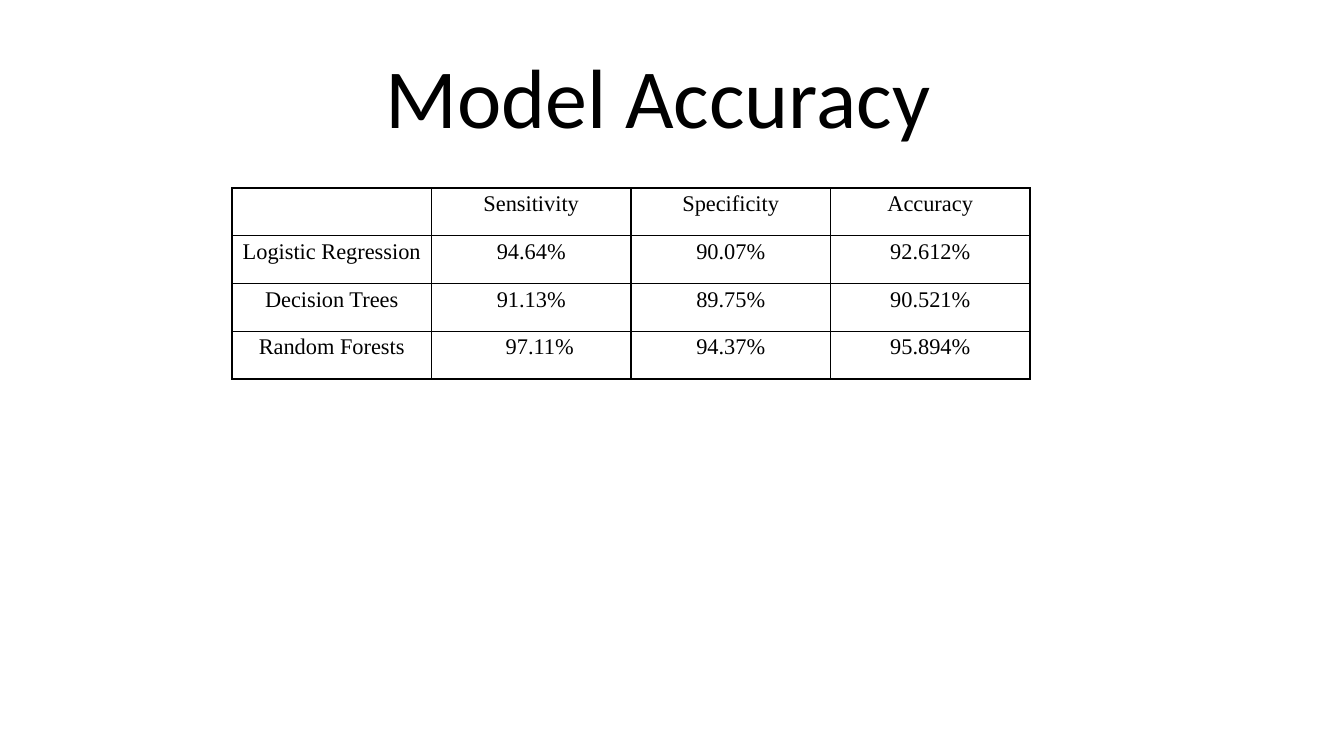
from lxml import etree
from pptx import Presentation
from pptx import util as u
from pptx.dml.color import RGBColor
from pptx.enum import text
from pptx.oxml import ns

SCALE = 914400 / 100.8
COLOURS = {"ink": "000000", "paper": "FFFFFF"}
SCORES = [
    ["", "Sensitivity", "Specificity", "Accuracy"],
    ["Logistic Regression", "94.64%", "90.07%", "92.612%"],
    ["Decision Trees", "91.13%", "89.75%", "90.521%"],
    ["Random Forests", "97.11%", "94.37%", "95.894%"],
]
INDENTED = "97.11%"


def px(length):
    return u.Emu(round(length * SCALE))


def write(frame, wording, size, font, spacing, indent=0):
    frame.word_wrap = True
    paragraph = frame.paragraphs[0]
    paragraph.alignment = text.PP_ALIGN.CENTER
    paragraph.line_spacing = spacing
    paragraph.font.size = u.Pt(size)
    if indent:
        paragraph._p.get_or_add_pPr().set("marL", str(px(indent)))
    if wording:
        run = paragraph.add_run()
        run.text = wording
        run.font.size = u.Pt(size)
        run.font.name = font
        run.font.color.rgb = RGBColor.from_string(COLOURS["ink"])


def rule_cell(cell, points):
    properties = cell._tc.get_or_add_tcPr()
    for side in ("a:lnL", "a:lnR", "a:lnT", "a:lnB"):
        border = etree.SubElement(properties, ns.qn(side), w=str(u.Pt(points)))
        fill = etree.SubElement(border, ns.qn("a:solidFill"))
        etree.SubElement(fill, ns.qn("a:srgbClr"), val=COLOURS["ink"])


def add_heading(slide, left, top, width, height):
    heading = slide.shapes.add_textbox(px(left), px(top), px(width), px(height))
    heading.text_frame.vertical_anchor = text.MSO_ANCHOR.BOTTOM
    write(heading.text_frame, "Model Accuracy", size=60, font="Calibri", spacing=0.9)


def add_scores(slide, left, top, width, height):
    scores = slide.shapes.add_table(
        len(SCORES), len(SCORES[0]), px(left), px(top), px(width), px(height)
    ).table
    scores.first_row = False
    scores.horz_banding = False
    for row, entries in enumerate(SCORES):
        for column, entry in enumerate(entries):
            cell = scores.cell(row, column)
            cell.margin_left = cell.margin_right = px(7)
            cell.margin_top = cell.margin_bottom = 0
            rule_cell(cell, points=1)
            cell.fill.background()
            write(cell.text_frame, entry, size=16, font="Times New Roman",
                  spacing=1.15, indent=17 if entry == INDENTED else 0)


deck = Presentation()
deck.slide_width, deck.slide_height = px(1344), px(756)
accuracy_slide = deck.slides.add_slide(deck.slide_layouts[6])
backdrop = accuracy_slide.background.fill
backdrop.solid()
backdrop.fore_color.rgb = RGBColor.from_string(COLOURS["paper"])
add_heading(accuracy_slide, 154, 15, 1008, 137)
add_scores(accuracy_slide, 232, 188, 798, 191)
deck.save("out.pptx")
